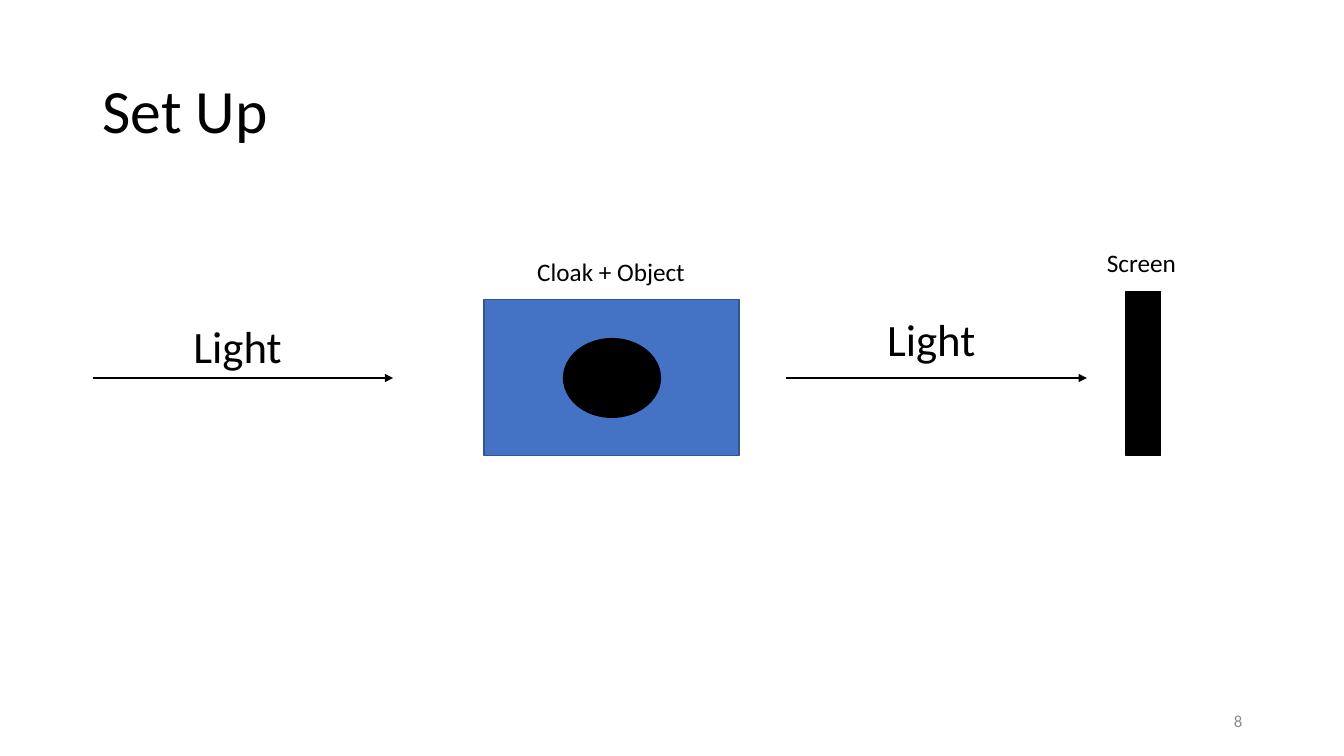
from dataclasses import dataclass

from lxml import etree
from pptx import Presentation
from pptx.dml.color import RGBColor
from pptx.enum import shapes, text
from pptx.oxml import ns
from pptx.util import Inches, Pt


@dataclass(frozen=True)
class Theme:
    font: str = "Calibri"
    black: str = "000000"
    blue: str = "4472C4"
    edge: str = "325491"
    grey: str = "8C8C8C"
    title: int = 44
    large: int = 32
    label: int = 18
    small: int = 12


T = Theme()
KIND = shapes.MSO_SHAPE
ALIGN = text.PP_ALIGN
TOP, MID = text.MSO_ANCHOR.TOP, text.MSO_ANCHOR.MIDDLE

# Text, box (left, top, width, height), size, colour, alignment, anchor
TEXTS = [
    ("Set Up", (0.92, 0.4, 11.5, 1.45), T.title, T.black, ALIGN.LEFT, MID),
    ("Light", (1.82, 3.11, 1.17, 0.64), T.large, T.black, ALIGN.LEFT, TOP),
    ("Light", (8.7, 3.04, 1.17, 0.64), T.large, T.black, ALIGN.LEFT, TOP),
    ("Cloak + Object", (5.23, 2.49, 1.68, 0.4), T.label, T.black, ALIGN.LEFT, TOP),
    ("Screen", (10.88, 2.4, 0.93, 0.4), T.label, T.black, ALIGN.LEFT, TOP),
    ("8", (9.42, 6.95, 3, 0.4), T.small, T.grey, ALIGN.RIGHT, MID),
]
# Cloak, object, screen
BODIES = [
    (KIND.RECTANGLE, (4.8, 2.97, 2.53, 1.55), T.blue, T.edge),
    (KIND.OVAL, (5.59, 3.36, 0.96, 0.78), T.black, T.black),
    (KIND.RECTANGLE, (11.17, 2.89, 0.34, 1.63), T.black, T.black),
]
RAYS = [0.92, 7.8]
RAY_Y, RAY_LEN = 3.75, 2.98


def color(code):
    return RGBColor.from_string(code)


def add_body(slide, kind, box, fill, edge):
    body = slide.shapes.add_shape(kind, *map(Inches, box))
    body.shadow.inherit = False
    body.fill.solid()
    body.fill.fore_color.rgb = color(fill)
    body.line.color.rgb = color(edge)
    body.line.width = Pt(1)


def add_ray(slide, left):
    y = Inches(RAY_Y)
    ray = slide.shapes.add_connector(
        shapes.MSO_CONNECTOR.STRAIGHT, Inches(left), y, Inches(left + RAY_LEN), y)
    ray.line.color.rgb = color(T.black)
    ray.line.width = Pt(1.5)
    etree.SubElement(ray.line._get_or_add_ln(), ns.qn("a:tailEnd"), type="triangle")
    etree.SubElement(ray._element.spPr, ns.qn("a:effectLst"))


def add_text(slide, words, box, size, ink, align, anchor):
    frame = slide.shapes.add_textbox(*map(Inches, box)).text_frame
    # Only the title and page number span boxes wider than their words
    frame.word_wrap = anchor == MID
    frame.vertical_anchor = anchor
    line = frame.paragraphs[0]
    line.text = words
    line.alignment = align
    if size == T.title:
        line.line_spacing = 0.9
    line.font.name = T.font
    line.font.size = Pt(size)
    line.font.color.rgb = color(ink)


def main():
    deck = Presentation()
    deck.slide_width, deck.slide_height = Inches(13.33), Inches(7.5)
    slide = deck.slides.add_slide(deck.slide_layouts[6])
    for body in BODIES:
        add_body(slide, *body)
    for left in RAYS:
        add_ray(slide, left)
    for item in TEXTS:
        add_text(slide, *item)
    deck.save("out.pptx")


if __name__ == "__main__":
    main()
